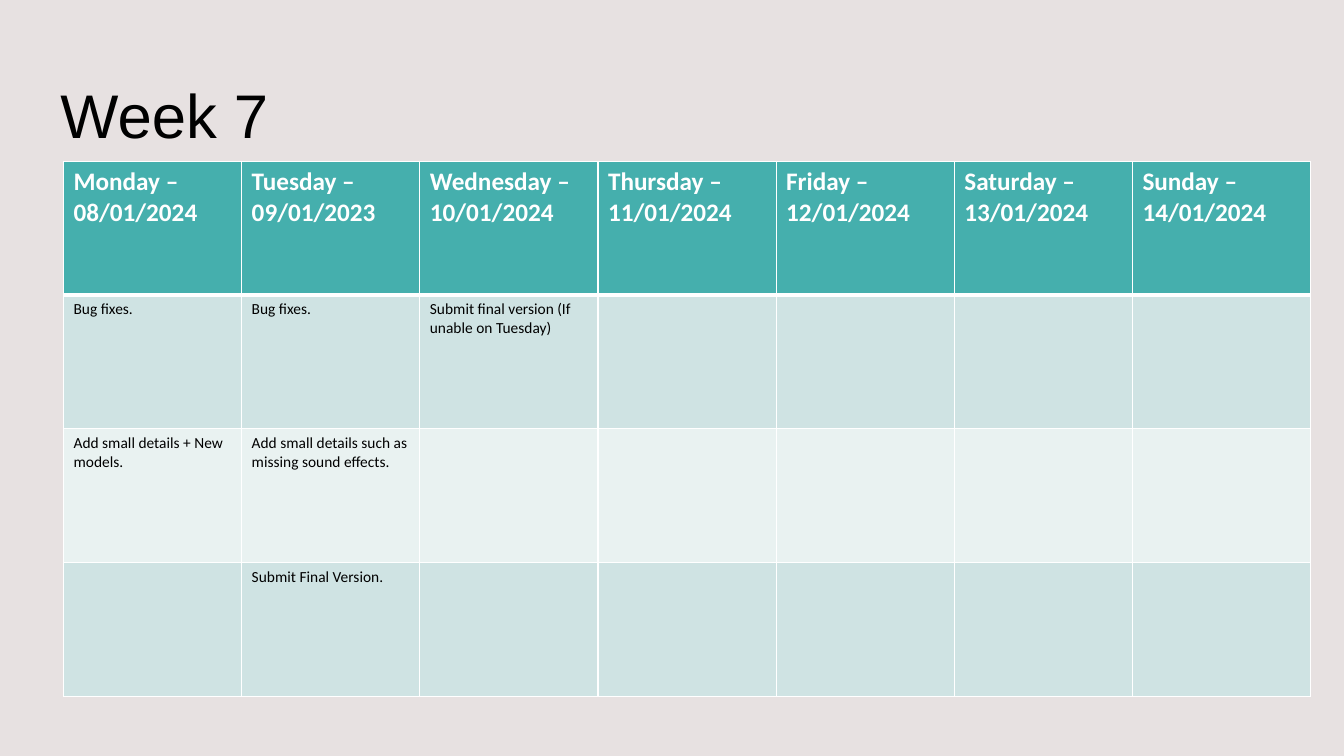
import dataclasses

import pptx
import pptx.dml.color
import pptx.enum.shapes
import pptx.enum.text
import pptx.oxml
import pptx.oxml.ns
import pptx.util
from lxml import etree


@dataclasses.dataclass(frozen=True)
class Theme:
    wash: str = "DED5D5"
    wash_alpha: int = 70
    header: str = "45AFAD"
    bands: tuple = ("CFE3E3", "E9F2F1")
    rule: str = "FFFFFF"
    thin: int = 1
    thick: int = 3
    title: dict = dataclasses.field(
        default_factory=lambda: {"name": "Arial", "size": 44, "color": "000000", "bold": False})
    day: dict = dataclasses.field(
        default_factory=lambda: {"name": "Calibri", "size": 18, "color": "FFFFFF", "bold": True})
    task: dict = dataclasses.field(
        default_factory=lambda: {"name": "Calibri", "size": 11, "color": "000000", "bold": False})


WIDTH, HEIGHT = 13.33, 7.5
TITLE_BOX = (0.5 / WIDTH, 0.4 / HEIGHT, 11.92 / WIDTH, 1.45 / HEIGHT)
TABLE_BOX = (0.63 / WIDTH, 1.6 / HEIGHT, 12.37 / WIDTH, 5.31 / HEIGHT)

WEEK = [
    ["Monday – 08/01/2024", "Tuesday – 09/01/2023", "Wednesday – 10/01/2024",
     "Thursday – 11/01/2024", "Friday – 12/01/2024", "Saturday – 13/01/2024",
     "Sunday – 14/01/2024"],
    ["Bug fixes.", "Bug fixes.", "Submit final version (If unable on Tuesday)"],
    ["Add small details + New models.", "Add small details such as missing sound effects."],
    ["", "Submit Final Version."],
]


def rgb(color):
    return pptx.dml.color.RGBColor.from_string(color)


class Deck:
    def __init__(self, theme):
        self.theme = theme
        self.prs = pptx.Presentation()
        self.prs.slide_width = pptx.util.Inches(WIDTH)
        self.prs.slide_height = pptx.util.Inches(HEIGHT)
        self.s = self.prs.slides.add_slide(self.prs.slide_layouts[5])

    def box(self, shares):
        """Turn shares of the slide's width and height into lengths."""
        sides = (self.prs.slide_width, self.prs.slide_height) * 2
        return [round(share * side) for share, side in zip(shares, sides)]

    def text(self, tf, words, style):
        p = tf.paragraphs[0]
        p.alignment = pptx.enum.text.PP_ALIGN.LEFT
        r = p.add_run()
        r.text = words
        for key, value in style.items():
            if key == "color":
                r.font.color.rgb = rgb(value)
            else:
                setattr(r.font, key, pptx.util.Pt(value) if key == "size" else value)

    def wash(self):
        """Cover the slide with a translucent tint behind everything else."""
        sp = self.s.shapes.add_shape(
            pptx.enum.shapes.MSO_SHAPE.RECTANGLE, *self.box((0, 0, 1, 1)))
        sp.shadow.inherit = False
        sp.line.fill.background()
        sp.fill.solid()
        sp.fill.fore_color.rgb = rgb(self.theme.wash)
        color = sp.element.spPr.find(".//" + pptx.oxml.ns.qn("a:srgbClr"))
        etree.SubElement(color, pptx.oxml.ns.qn("a:alpha"),
                         val=str(self.theme.wash_alpha * 1000))
        sp.element.getparent().insert(2, sp.element)

    def title(self, words, shares):
        sp = self.s.shapes.title
        for side, length in zip(("left", "top", "width", "height"), self.box(shares)):
            setattr(sp, side, length)
        tf = sp.text_frame
        tf.word_wrap = True
        tf.auto_size = pptx.enum.text.MSO_AUTO_SIZE.NONE
        tf.vertical_anchor = pptx.enum.text.MSO_ANCHOR.MIDDLE
        self.text(tf, words, self.theme.title)

    def borders(self, cell, widths):
        """Rule the left, right, top and bottom sides, before the cell's fill is set."""
        tcPr = cell._tc.get_or_add_tcPr()
        for side, width in zip("LRTB", widths):
            tcPr.append(pptx.oxml.parse_xml(
                f'<a:ln{side} {pptx.oxml.ns.nsdecls("a")} w="{pptx.util.Pt(width)}">'
                f'<a:solidFill><a:srgbClr val="{self.theme.rule}"/></a:solidFill></a:ln{side}>'))

    def table(self, rows, shares):
        th = self.theme
        grid = self.s.shapes.add_table(len(rows), len(rows[0]), *self.box(shares)).table
        for i, row in enumerate(rows):
            fill = th.bands[(i - 1) % 2] if i else th.header
            top = th.thick if i == 1 else th.thin
            bottom = th.thin if i else th.thick
            for j, cell in enumerate(grid.rows[i].cells):
                self.borders(cell, (th.thin, th.thin, top, bottom))
                cell.fill.solid()
                cell.fill.fore_color.rgb = rgb(fill)
                if j < len(row) and row[j]:
                    self.text(cell.text_frame, row[j], th.task if i else th.day)


def main():
    deck = Deck(Theme())
    deck.wash()
    deck.title("Week 7", TITLE_BOX)
    deck.table(WEEK, TABLE_BOX)
    deck.prs.save("out.pptx")


if __name__ == "__main__":
    main()
